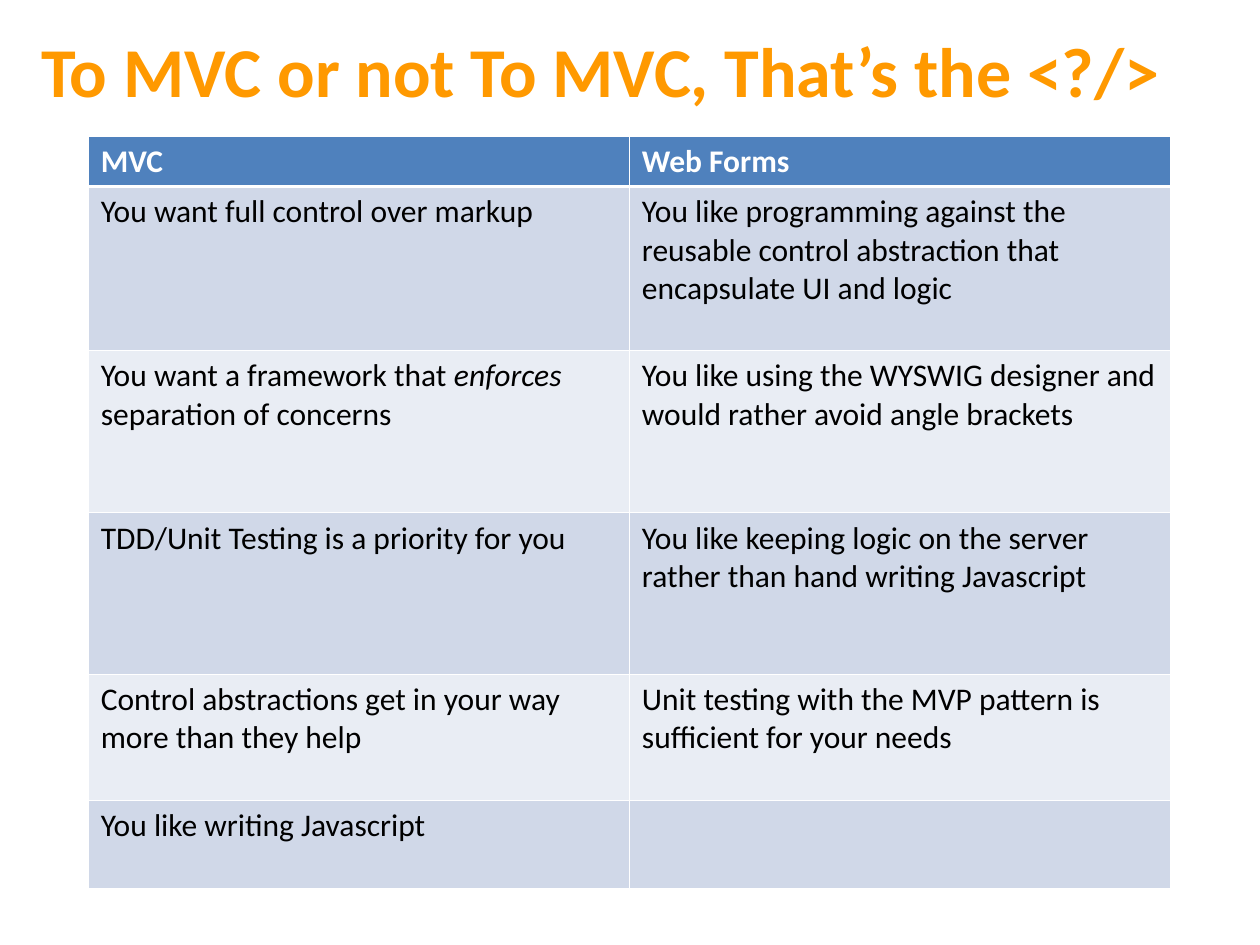
from lxml import etree
from pptx import Presentation
from pptx.dml.color import RGBColor
from pptx.enum import text
from pptx.oxml import ns
from pptx.util import Inches, Pt

FONT = "Calibri"
ORANGE = RGBColor(0xFF, 0x99, 0x00)
WHITE = RGBColor(0xFF, 0xFF, 0xFF)
BLACK = RGBColor(0x00, 0x00, 0x00)
HEADER_BLUE = RGBColor(0x4F, 0x81, 0xBD)
BAND_DARK = RGBColor(0xD0, 0xD8, 0xE8)
BAND_LIGHT = RGBColor(0xE9, 0xED, 0xF4)

THIN, THICK = Pt(0.45), Pt(1.47)
ROW_HEIGHTS = [0.4, 1.3, 1.29, 1.28, 1, 0.7]
EMPHASIS = "enforces"
COMPARISON = [
    ("MVC", "Web Forms"),
    ("You want full control over markup",
     "You like programming against the reusable control abstraction that "
     "encapsulate UI and logic"),
    ("You want a framework that enforces separation of concerns",
     "You like using the WYSWIG designer and would rather avoid angle brackets"),
    ("TDD/Unit Testing is a priority for you",
     "You like keeping logic on the server rather than hand writing Javascript"),
    ("Control abstractions get in your way more than they help",
     "Unit testing with the MVP pattern is sufficient for your needs"),
    ("You like writing Javascript", ""),
]


def style_font(font, size, color, bold):
    """Apply the slide's typeface with the given size, colour and weight."""
    font.name = FONT
    font.size = Pt(size)
    font.color.rgb = color
    font.bold = bold


def add_title(page, left, top, width, height):
    """Place the headline, centred vertically in its box."""
    box = page.shapes.add_textbox(left, top, width, height)
    frame = box.text_frame
    frame.word_wrap = True
    frame.vertical_anchor = text.MSO_ANCHOR.MIDDLE
    frame.text = "To MVC or not To MVC, That’s the <?/>"
    style_font(frame.paragraphs[0].runs[0].font, 40, ORANGE, True)


def set_borders(cell, top, bottom):
    """Draw white cell borders with the given top and bottom widths."""
    properties = cell._tc.get_or_add_tcPr()
    sides = [("lnL", THIN), ("lnR", THIN), ("lnT", top), ("lnB", bottom)]
    for position, (side, width) in enumerate(sides):
        line = etree.Element(ns.qn(f"a:{side}"), w=str(int(width)))
        fill = etree.SubElement(line, ns.qn("a:solidFill"))
        etree.SubElement(fill, ns.qn("a:srgbClr"), val=str(WHITE))
        properties.insert(position, line)


def fill_cell(cell, wording, row):
    """Write one cell and give it the look of its row."""
    header = row == 0
    cell.fill.solid()
    cell.fill.fore_color.rgb = (
        HEADER_BLUE if header else BAND_DARK if row % 2 else BAND_LIGHT)
    set_borders(cell, THICK if row == 1 else THIN, THICK if header else THIN)
    para = cell.text_frame.paragraphs[0]
    style_font(para.font, 18, WHITE if header else BLACK, header)
    before, emphasis, after = wording.partition(EMPHASIS)
    for part in filter(None, (before, emphasis, after)):
        span = para.add_run()
        span.text = part
        style_font(span.font, 18, WHITE if header else BLACK, header)
        span.font.italic = part == EMPHASIS


def add_comparison(page, left, top, width, height):
    """Place the two-column comparison table."""
    table = page.shapes.add_table(
        len(COMPARISON), 2, left, top, width, height).table
    for column in table.columns:
        column.width = width // 2
    for row, (wordings, row_height) in enumerate(zip(COMPARISON, ROW_HEIGHTS)):
        table.rows[row].height = Inches(row_height)
        for column, wording in enumerate(wordings):
            fill_cell(table.cell(row, column), wording, row)


def main():
    """Build and save the slide."""
    deck = Presentation()
    deck.slide_width, deck.slide_height = Inches(10), Inches(7.5)
    page = deck.slides.add_slide(deck.slide_layouts[6])
    add_title(page, Inches(0.23), Inches(0.08), Inches(9.53), Inches(0.94))
    add_comparison(page, Inches(0.7), Inches(1.08), Inches(8.59),
                   Inches(sum(ROW_HEIGHTS)))
    deck.save("out.pptx")


if __name__ == "__main__":
    main()
